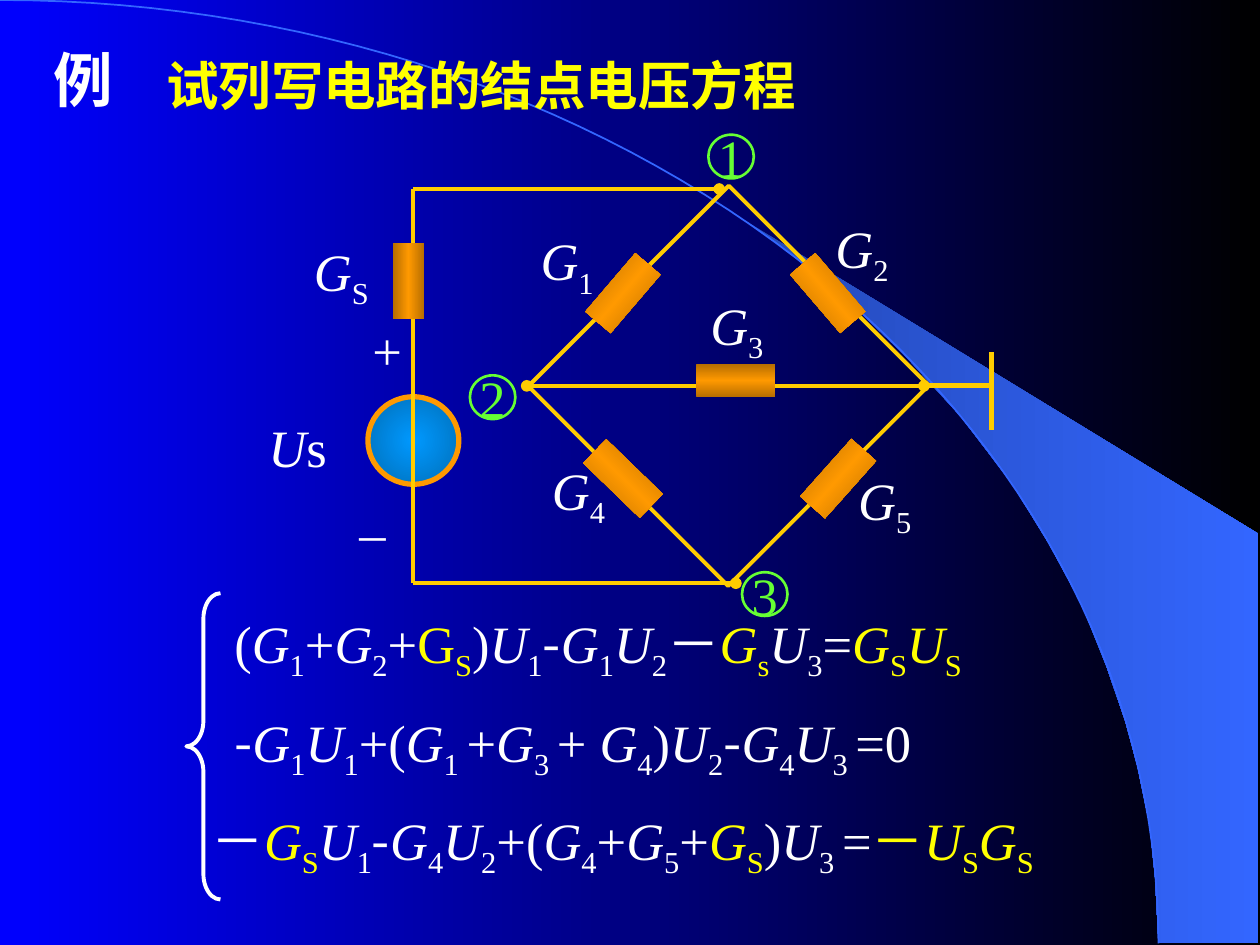
"""Build a slide that sets up the node-voltage equations of a bridge circuit."""
from copy import deepcopy
from dataclasses import dataclass
from itertools import groupby
from math import cos, pi, sin
from typing import Iterator, NamedTuple

from lxml.etree import SubElement
from pptx import Presentation
from pptx.dml.color import RGBColor
from pptx.enum.shapes import MSO_CONNECTOR, MSO_SHAPE
from pptx.enum.text import MSO_ANCHOR, MSO_AUTO_SIZE, PP_ALIGN
from pptx.oxml.ns import qn
from pptx.util import Pt

WHITE = RGBColor(0xFF, 0xFF, 0xFF)
BLACK = RGBColor(0x00, 0x00, 0x00)
YELLOW = RGBColor(0xFF, 0xFF, 0x00)
GREEN = RGBColor(0x66, 0xFF, 0x33)
WIRE = RGBColor(0xFF, 0xCC, 0x00)
ORANGE = RGBColor(0xFF, 0x99, 0x00)
BROWN = RGBColor(0xB6, 0x6D, 0x00)
SKY = RGBColor(0x00, 0x99, 0xFF)
TEAL = RGBColor(0x00, 0x6D, 0xB6)
BLUE = RGBColor(0x00, 0x00, 0xFF)
ROYAL = RGBColor(0x33, 0x66, 0xFF)
NAVY = RGBColor(0x24, 0x49, 0xB6)

SERIF = "Times New Roman"
SANS = "Noto Sans CJK SC"


class Box(NamedTuple):
    left: float
    top: float
    width: float
    height: float


class Style(NamedTuple):
    italic: bool
    subscript: bool
    highlighted: bool
    sans: bool


@dataclass(frozen=True)
class Label:
    text: str
    box: Box
    size: float = 30
    color: RGBColor = WHITE
    bold: bool = False
    centered: bool = False
    wrap: bool = False


@dataclass(frozen=True)
class Wire:
    start: tuple[float, float]
    end: tuple[float, float]
    width: float = 2.25
    dots: tuple[str, ...] = ()


@dataclass(frozen=True)
class Resistor:
    box: Box
    rotation: float = 0
    angle: float = 90


LABELS = [
    Label("试列写电路的结点电压方程", Box(87, 26.5, 518, 45), color=YELLOW, bold=True, wrap=True),
    Label("例", Box(22.5, 21, 59, 50), size=34, bold=True, wrap=True),
    Label("(G~1+G~2+{^G~S})U~1-G~1U~2－{G~s}U~3={G~SU~S}", Box(126, 345.5, 453, 44)),
    Label("-G~1U~1+(G~1 +G~3 + G~4)U~2-G~4U~3 =0", Box(126, 402, 456.5, 44)),
    Label("－{G~S}U~1-G~4U~2+(G~4+G~5+{G~S})U~3 ={－U~SG~S}", Box(113, 458, 511, 44)),
    Label("Us", Box(145.5, 233.5, 78, 45), wrap=True),
    Label("G~S", Box(171.5, 133, 52, 45)),
    Label("G~1", Box(301, 127, 50, 45)),
    Label("G~2", Box(469.5, 120, 50, 45)),
    Label("G~3", Box(398, 164, 50, 45)),
    Label("G~4", Box(307.5, 258, 50, 45)),
    Label("G~5", Box(482.5, 264, 50, 45)),
    Label("+", Box(204, 177, 34.5, 45), centered=True),
    Label("_", Box(197.5, 271, 30, 45), centered=True, wrap=True),
]
NODES = [
    Label(number, Box(left, top, 26, 25), color=GREEN, centered=True)
    for number, left, top in (("1", 404.75, 77), ("2", 268.5, 214.5), ("3", 424, 327))
]
WIRES = [
    Wire((236.25, 108), (236.25, 333.25)),
    Wire((411, 108), (236.25, 108), dots=("headEnd",)),
    Wire((420.5, 333.25), (236.25, 333.25), dots=("headEnd",)),
    Wire((301, 220.5), (528, 220.5), dots=("headEnd", "tailEnd")),
    Wire((528, 220.5), (568, 220.5), width=3),
    Wire((566.75, 245.5), (566.75, 201), width=3),
]
RESISTORS = [
    Resistor(Box(224.5, 139, 18, 43.5), angle=0),
    Resistor(Box(334, 158, 44, 19), 310.5),
    Resistor(Box(451, 158, 44, 19), 49.4),
    Resistor(Box(398, 208, 45, 19)),
    Resistor(Box(333.5, 264, 45, 19), 44.1),
    Resistor(Box(457, 264, 44, 19), 311.7),
]
ARC_WIDTH, ARC_HEIGHT, ARC_STEPS = 662, 539, 60
BEAM = [
    (662, 539), (719, 539), (719, 305), (424, 125), (449, 143), (470, 160),
    (493, 180), (516, 202), (549, 238), (578, 276), (599, 310), (618, 345),
    (632, 380), (643, 412), (650, 438), (657, 472), (660, 501),
]


def paint_gradient(fill, first: RGBColor, last: RGBColor, angle: float = 0) -> None:
    """Fill with a linear gradient of two colours."""
    fill.gradient()
    fill.gradient_angle = angle
    for stop, color, position in zip(fill.gradient_stops, (first, last), (0, 1)):
        stop.color.rgb, stop.position = color, position


def set_outline(shape, color: RGBColor | None, width: float) -> None:
    """Drop the shadow and set or remove the outline."""
    shape.shadow.inherit = False
    if color is None:
        shape.line.fill.background()
    else:
        shape.line.color.rgb = color
        shape.line.width = Pt(width)


def add_figure(page, kind, box: Box, color: RGBColor | None = None, width: float = 0):
    """Add an unfilled preset shape."""
    shape = page.shapes.add_shape(kind, *map(Pt, box))
    shape.fill.background()
    set_outline(shape, color, width)
    return shape


def add_outline(page, points: list[tuple[float, float]], close: bool):
    """Add a freeform through points."""
    corners = [(Pt(x), Pt(y)) for x, y in points]
    builder = page.shapes.build_freeform(*corners[0])
    builder.add_line_segments(corners[1:], close=close)
    return builder.convert_to_shape()


def read_spans(notation: str) -> Iterator[tuple[str, Style]]:
    """Split notation: ~ subscript, ^ upright, braces highlight, G and U italic."""
    letters: list[tuple[str, Style]] = []
    highlighted, mark = False, ""
    for letter in notation:
        if letter in "{}":
            highlighted = letter == "{"
        elif letter in "~^":
            mark = letter
        else:
            style = Style(letter in "GU" and not mark, mark == "~", highlighted, letter in "-－")
            letters.append((letter, letters[-1][1] if letter == " " else style))
            mark = ""
    for style, group in groupby(letters, key=lambda item: item[1]):
        yield "".join(letter for letter, _ in group), style


def write_label(shape, label: Label) -> None:
    """Write a label into a shape."""
    frame = shape.text_frame
    frame.margin_left = frame.margin_right = Pt(7.92)
    frame.margin_top = frame.margin_bottom = Pt(3.6)
    frame.word_wrap = label.wrap
    frame.vertical_anchor = MSO_ANCHOR.MIDDLE if label.centered else MSO_ANCHOR.TOP
    para = frame.paragraphs[0]
    para.alignment = PP_ALIGN.CENTER if label.centered else PP_ALIGN.LEFT
    font = para.font
    font.name, font.size, font.bold = SERIF, Pt(label.size), label.bold
    font.color.rgb = label.color
    SubElement(para._p.pPr.find(qn("a:defRPr")), qn("a:ea"), typeface=SANS)
    for text, style in read_spans(label.text):
        span = para.add_run()
        span.text = text
        if style.italic:
            span.font.italic = True
        if style.highlighted:
            span.font.color.rgb = YELLOW
        if style.sans:
            span.font.name = SANS
        if style.subscript:
            span._r.get_or_add_rPr().set("baseline", "-25000")


def add_label(page, label: Label) -> None:
    """Add a text box."""
    shape = page.shapes.add_textbox(*map(Pt, label.box))
    write_label(shape, label)
    shape.text_frame.auto_size = MSO_AUTO_SIZE.SHAPE_TO_FIT_TEXT


def add_wire(page, wire: Wire) -> None:
    """Add a line with optional round ends."""
    line = page.shapes.add_connector(MSO_CONNECTOR.STRAIGHT, *map(Pt, wire.start + wire.end))
    line.line.color.rgb = WIRE
    line.line.width = Pt(wire.width)
    properties = line._element.spPr
    for dot in wire.dots:
        SubElement(properties.find(qn("a:ln")), qn(f"a:{dot}"), type="oval")
    SubElement(properties, qn("a:effectLst"))


def add_resistor(page, resistor: Resistor) -> None:
    """Add a resistor that is bright along its middle."""
    shape = add_figure(page, MSO_SHAPE.RECTANGLE, resistor.box)
    shape.rotation = resistor.rotation
    paint_gradient(shape.fill, BROWN, ORANGE, resistor.angle)
    stops = shape._element.spPr.find(f".//{qn('a:gsLst')}")
    stops[1].set("pos", "50000")
    edge = deepcopy(stops[0])
    edge.set("pos", "100000")
    stops.append(edge)


def add_source(page) -> None:
    """Add the voltage source with a radial gradient."""
    shape = add_figure(page, MSO_SHAPE.OVAL, Box(210.25, 226.75, 52, 50), ORANGE, 3)
    paint_gradient(shape.fill, SKY, TEAL)
    gradient = shape._element.spPr.find(qn("a:gradFill"))
    gradient.remove(gradient.find(qn("a:lin")))
    radial = SubElement(gradient, qn("a:path"), path="circle")
    SubElement(radial, qn("a:fillToRect"), l="50000", t="50000", r="50000", b="50000")


def add_backdrop(page) -> None:
    """Add the background, the beam and the arc."""
    paint_gradient(page.background.fill, BLUE, BLACK)
    beam = add_outline(page, BEAM, close=True)
    set_outline(beam, None, 0)
    paint_gradient(beam.fill, NAVY, ROYAL)
    angles = [step * pi / 2 / ARC_STEPS for step in range(ARC_STEPS + 1)]
    points = [(ARC_WIDTH * sin(angle), ARC_HEIGHT * (1 - cos(angle))) for angle in angles]
    arc = add_outline(page, points, close=False)
    arc.fill.background()
    set_outline(arc, ROYAL, 1)


def main() -> None:
    """Build and save the deck."""
    deck = Presentation()
    deck.slide_width, deck.slide_height = Pt(720), Pt(540)
    page = deck.slides.add_slide(deck.slide_layouts[6])
    add_backdrop(page)
    add_source(page)
    bridge = add_figure(page, MSO_SHAPE.RECTANGLE, Box(335.5, 139.5, 161.5, 162), WIRE, 2.25)
    bridge.rotation = 45
    for wire in WIRES:
        add_wire(page, wire)
    for resistor in RESISTORS:
        add_resistor(page, resistor)
    for label in LABELS:
        add_label(page, label)
    for node in NODES:
        write_label(add_figure(page, MSO_SHAPE.OVAL, node.box, GREEN, 1.5), node)
    brace = add_figure(page, MSO_SHAPE.LEFT_BRACE, Box(106.5, 339, 19.5, 175), WHITE, 2.25)
    brace.adjustments[0], brace.adjustments[1] = 0.75, 0.5
    deck.save("out.pptx")


if __name__ == "__main__":
    main()
